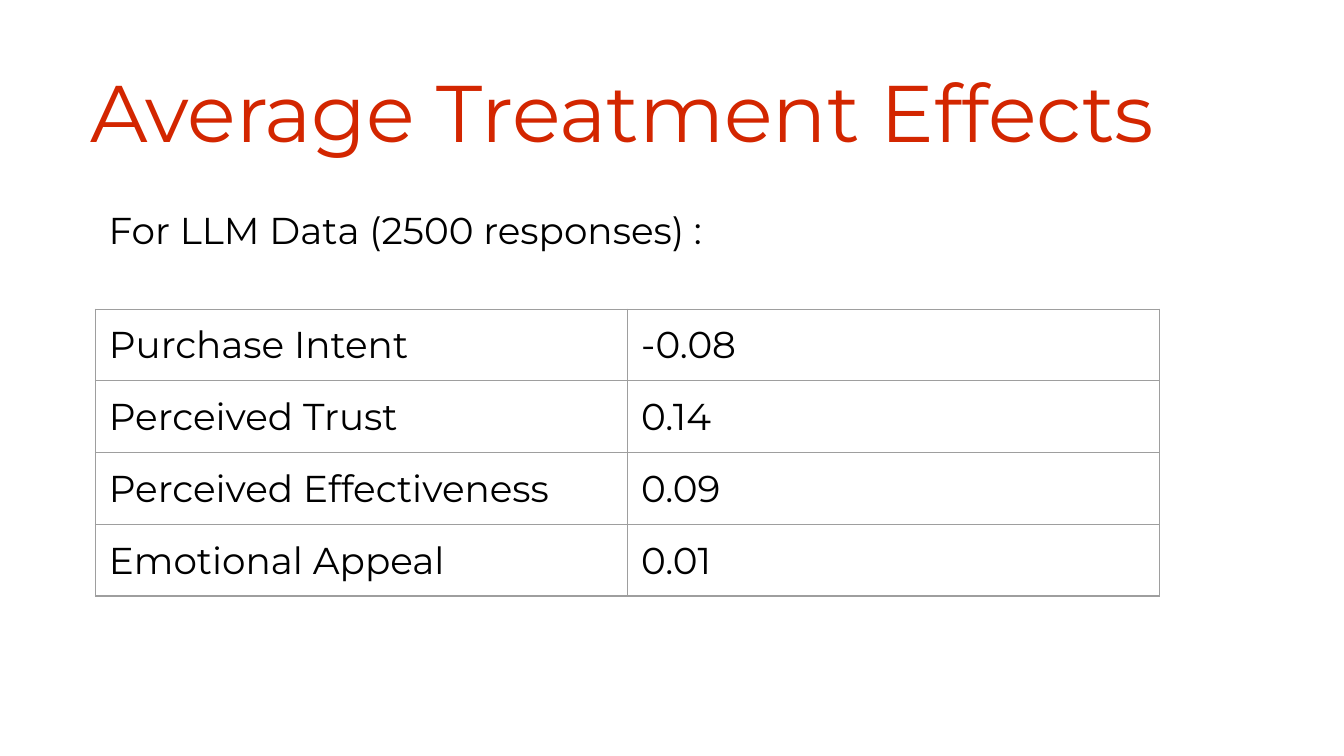
import pptx
import pptx.util
import pptx.dml.color
import pptx.enum.text
from dataclasses import dataclass
from lxml import etree
from pptx.oxml.ns import qn
from pptx.util import Inches


@dataclass(frozen=True)
class Theme:
    font: str = "Montserrat"
    red: str = "D32600"
    black: str = "000000"
    grey: str = "9E9E9E"
    head: int = 43
    body: int = 20
    line: float = 0.75


THEME = Theme()
EFFECTS = [
    ("Purchase Intent", "-0.08"),
    ("Perceived Trust", "0.14"),
    ("Perceived Effectiveness", "0.09"),
    ("Emotional Appeal", "0.01"),
]


def assign(item, values):
    for name, value in values.items():
        setattr(item, name, value)


def inset(item):
    sides = ("left", "right", "top", "bottom")
    assign(item, {f"margin_{side}": Inches(0.1) for side in sides})


def write(frame, text, size, color):
    para = frame.paragraphs[0]
    para.alignment = pptx.enum.text.PP_ALIGN.LEFT
    run = para.add_run()
    run.text = text
    assign(run.font, {"name": THEME.font, "size": pptx.util.Pt(size)})
    run.font.color.rgb = pptx.dml.color.RGBColor.from_string(color)


def add_title(slide, text):
    title = slide.shapes.title
    assign(title, {"left": Inches(0.57), "top": Inches(0.41),
                   "width": Inches(8.85), "height": Inches(0.82)})
    frame = title.text_frame
    inset(frame)
    assign(frame, {"word_wrap": True,
                   "auto_size": pptx.enum.text.MSO_AUTO_SIZE.NONE,
                   "vertical_anchor": pptx.enum.text.MSO_ANCHOR.MIDDLE})
    write(frame, text, THEME.head, THEME.red)


def add_label(slide, text):
    box = slide.shapes.add_textbox(
        Inches(0.71), Inches(1.44), Inches(8.85), Inches(0.54))
    frame = box.text_frame
    inset(frame)
    assign(frame, {"word_wrap": True,
                   "auto_size": pptx.enum.text.MSO_AUTO_SIZE.SHAPE_TO_FIT_TEXT})
    write(frame, text, THEME.body, THEME.black)


def add_border(cell):
    props = cell._tc.get_or_add_tcPr()
    for index, side in enumerate(("lnL", "lnR", "lnT", "lnB")):
        line = etree.Element(qn(f"a:{side}"),
                             w=str(pptx.util.Pt(THEME.line)))
        fill = etree.SubElement(line, qn("a:solidFill"))
        etree.SubElement(fill, qn("a:srgbClr"), val=THEME.grey)
        # Borders must come before the cell fill
        props.insert(index, line)


def add_grid(slide, data):
    # Rows grow to fit their text
    wide, high = Inches(3.96), Inches(0.42)
    count = len(data[0])
    table = slide.shapes.add_table(
        len(data), count, Inches(0.71), Inches(2.3),
        wide * count, high * len(data)).table
    assign(table, {"first_row": False, "horz_banding": False})
    for row, texts in enumerate(data):
        for col, text in enumerate(texts):
            cell = table.cell(row, col)
            inset(cell)
            cell.fill.background()
            add_border(cell)
            write(cell.text_frame, text, THEME.body, THEME.black)


def main():
    deck = pptx.Presentation()
    # Widescreen, 16 to 9
    wide = Inches(10)
    assign(deck, {"slide_width": wide, "slide_height": wide * 9 // 16})
    slide = deck.slides.add_slide(deck.slide_layouts.get_by_name("Title Only"))

    # Heading and lead-in
    add_title(slide, "Average Treatment Effects")
    add_label(slide, "For LLM Data (2500 responses) :")

    # Effect per outcome
    add_grid(slide, EFFECTS)
    deck.save("out.pptx")


if __name__ == "__main__":
    main()
